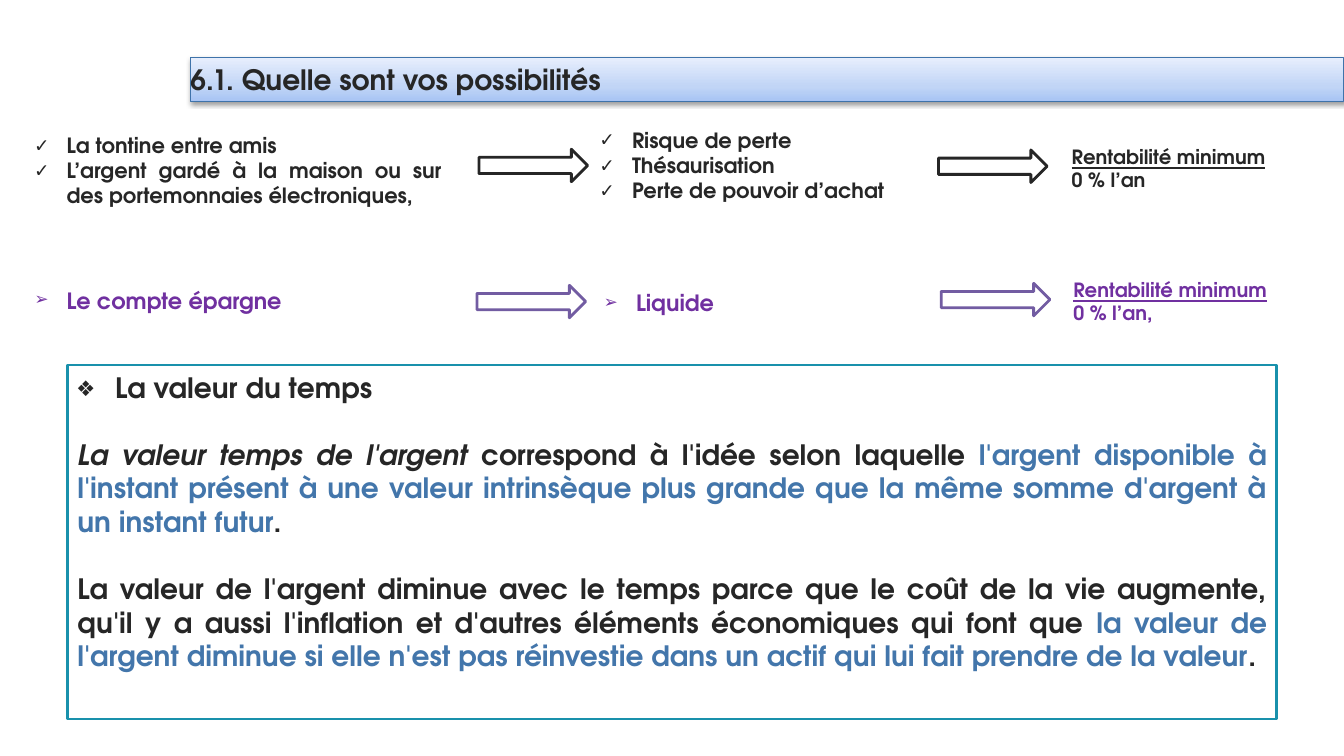
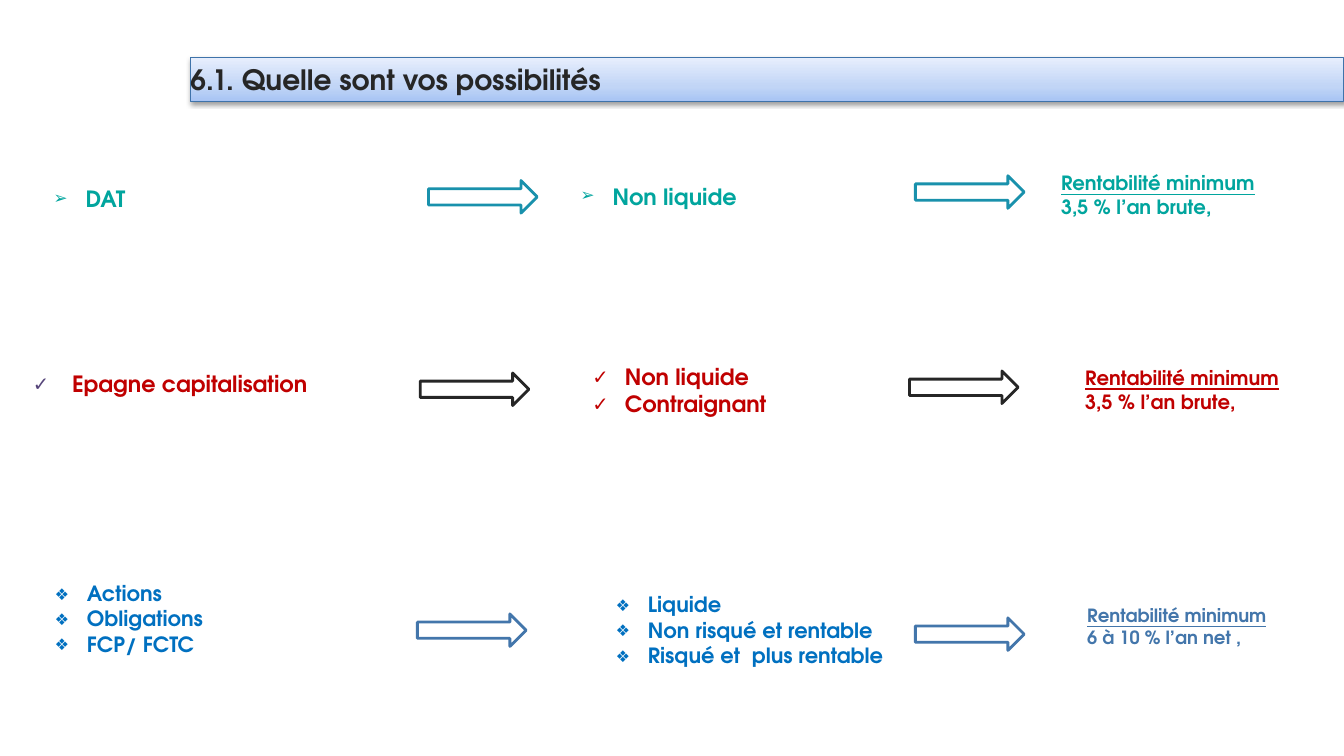
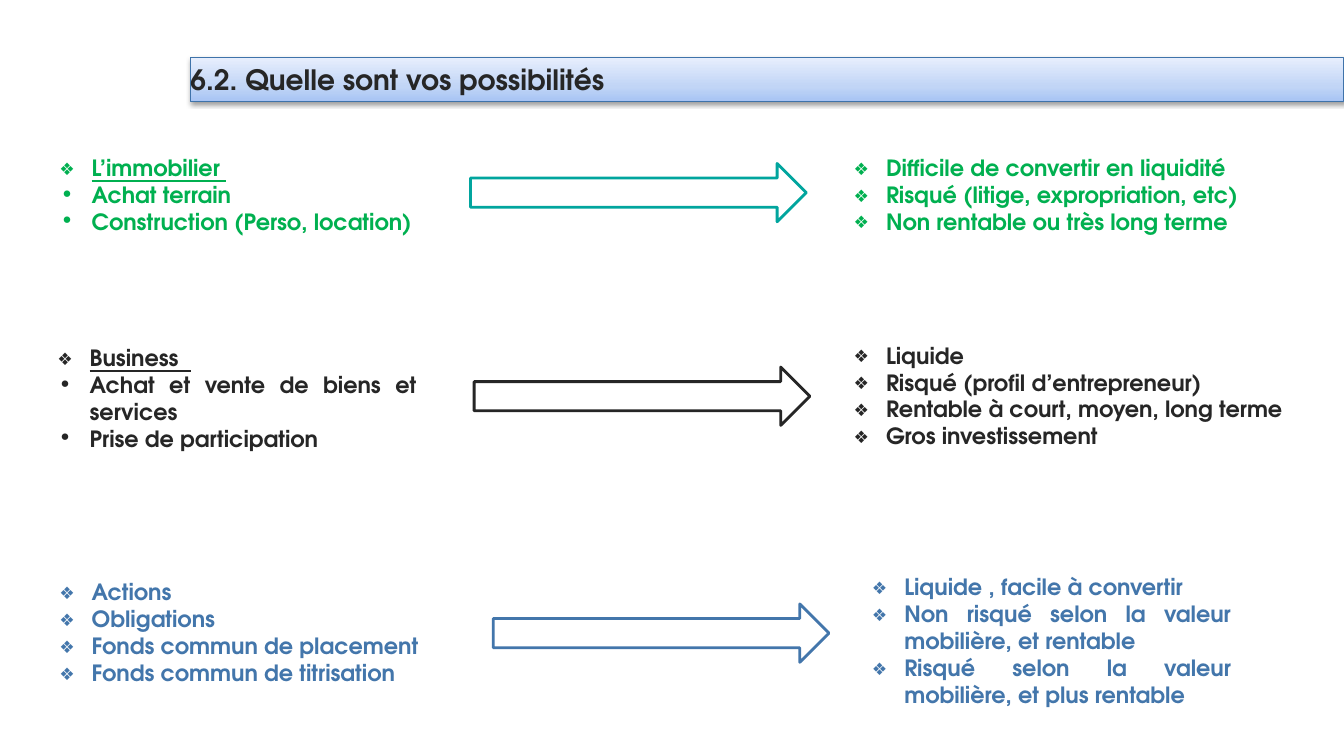
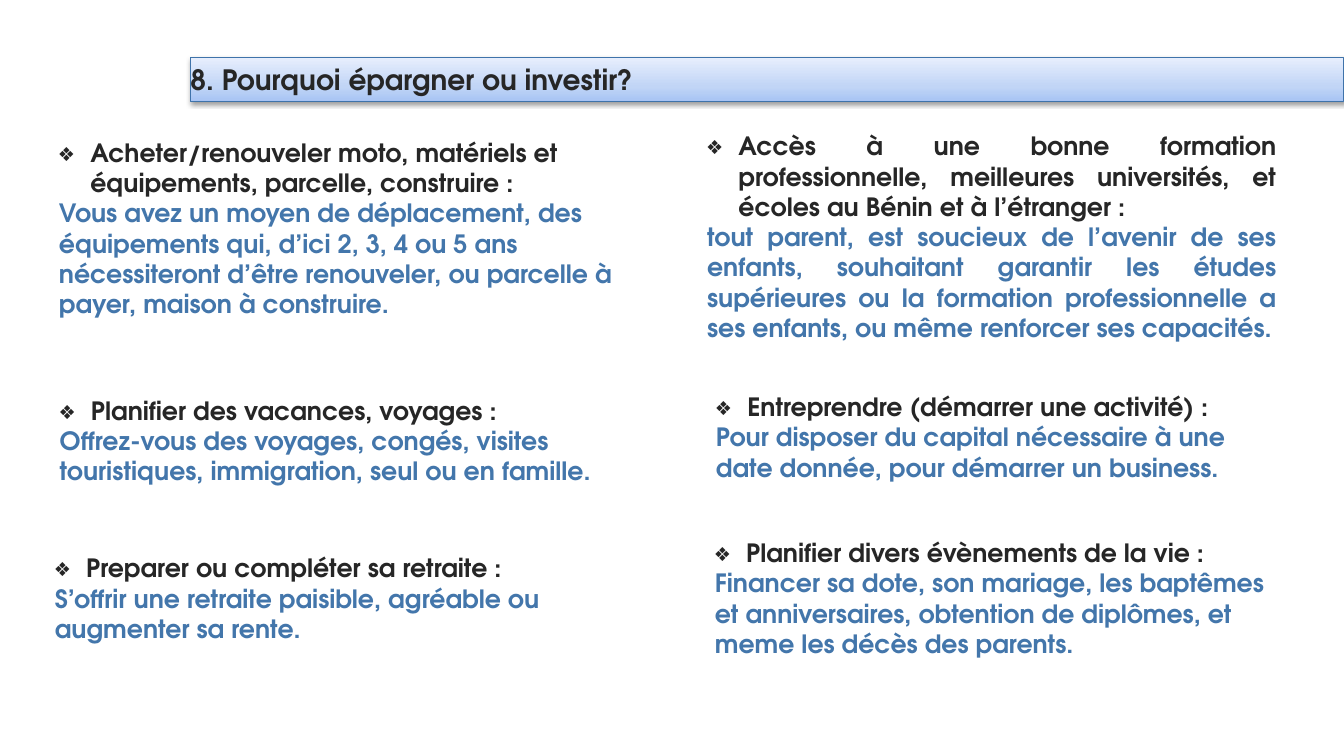
import copy
from dataclasses import dataclass

import pptx
import pptx.dml.color
import pptx.enum.shapes
import pptx.enum.text
import pptx.oxml
import pptx.oxml.ns
import pptx.util

Cm = pptx.util.Cm
Pt = pptx.util.Pt
SHAPE = pptx.enum.shapes.MSO_SHAPE
ANCHOR = pptx.enum.text.MSO_ANCHOR
ALIGN = pptx.enum.text.PP_ALIGN
qn = pptx.oxml.ns.qn

FONT = "TeX Gyre Adventor"
BULLET_FONT = "DejaVu Sans Mono"
COLORS = {
    "ink": "262626",
    "white": "FFFFFF",
    "blue": "4376AB",
    "bright_blue": "0070C0",
    "purple": "7030A0",
    "violet": "725CA2",
    "dark_violet": "56457A",
    "teal": "01A59E",
    "sea": "1991AC",
    "red": "C00000",
    "green": "00B050",
    "bar_line": "3F73AA",
    "bar_dark": "A6C3F4",
    "bar_mid": "C1D5F6",
    "bar_light": "E7EEFD",
    "shadow": "000000",
}
CHECK, ARROWHEAD, DIAMOND, DOT = "✓", "➢", "❖", "•"
INDENT = 0.79
SMALL_ARROW = (2.74, 0.82)
LARGE_ARROW = (8.46, 1.47)
RETURN_SIZE = (5.72, 1.07)


@dataclass
class Para:
    """A paragraph made of (text, color, style) runs; style holds letters of "iu"."""
    runs: list
    bullet: str = ""
    bullet_color: str = ""
    indent: float = INDENT
    align: ALIGN = ALIGN.JUSTIFY
    before: float = 0


def rgb(name):
    return pptx.dml.color.RGBColor.from_string(COLORS[name])


def lengths(*values):
    return [Cm(v) for v in values]


def set_bullet(p, char, color, indent):
    pPr = p._p.get_or_add_pPr()
    pPr.set("marL", str(Cm(indent)))
    pPr.set("indent", str(-Cm(indent)))
    if color:
        clr = pPr.makeelement(qn("a:buClr"), {})
        clr.append(clr.makeelement(qn("a:srgbClr"), {"val": COLORS[color]}))
        pPr.append(clr)
    pPr.append(pPr.makeelement(qn("a:buFont"), {"typeface": BULLET_FONT}))
    pPr.append(pPr.makeelement(qn("a:buChar"), {"char": char}))


def write(tf, paras, size, anchor=ANCHOR.TOP):
    tf.word_wrap = True
    tf.vertical_anchor = anchor
    for i, para in enumerate(paras):
        p = tf.paragraphs[0] if i == 0 else tf.add_paragraph()
        p.alignment = para.align
        if para.before:
            p.space_before = Pt(para.before)
        if para.bullet:
            set_bullet(p, para.bullet, para.bullet_color, para.indent)
        for text, color, style in para.runs:
            r = p.add_run()
            r.text = text
            r.font.name = FONT
            r.font.size = Pt(size)
            r.font.bold = True
            r.font.color.rgb = rgb(color)
            if "i" in style:
                r.font.italic = True
            if "u" in style:
                r.font.underline = True


def add_shape(s, kind, box, line=None, width=2):
    sp = s.shapes.add_shape(kind, *lengths(*box))
    sp.shadow.inherit = False
    sp.fill.solid()
    sp.fill.fore_color.rgb = rgb("white")
    if line:
        sp.line.color.rgb = rgb(line)
        sp.line.width = Pt(width)
    else:
        sp.line.fill.background()
    return sp


def add_arrow(s, x, y, color, size=SMALL_ARROW):
    add_shape(s, SHAPE.RIGHT_ARROW, (x, y, *size), color)


def add_title(s, text):
    """Full-bleed bar with a gradient and a soft shadow below it."""
    bar = add_shape(s, SHAPE.RECTANGLE, (4.8, 1.45, 29.07, 1.12), "bar_line", 0.75)
    bar.fill.gradient()
    bar.fill.gradient_angle = 90
    stop_list = next(bar._element.spPr.iter(qn("a:gsLst")))
    stop_list.insert(1, copy.deepcopy(stop_list[0]))
    stops = [(0, "bar_dark"), (0.35, "bar_mid"), (1, "bar_light")]
    for stop, (position, color) in zip(bar.fill.gradient_stops, stops):
        stop.position = position
        stop.color.rgb = rgb(color)
    bar._element.spPr.find(qn("a:effectLst")).append(pptx.oxml.parse_xml(
        f'<a:outerShdw {pptx.oxml.ns.nsdecls("a")} blurRad="{Pt(3.1)}" dist="{Pt(1.6)}" '
        f'dir="5400000" rotWithShape="0"><a:srgbClr val="{COLORS["shadow"]}">'
        '<a:alpha val="38000"/></a:srgbClr></a:outerShdw>'))
    tf = bar.text_frame
    tf.margin_left = tf.margin_right = tf.margin_top = tf.margin_bottom = 0
    write(tf, [Para([(text, "ink", "")], align=ALIGN.LEFT)], 20, ANCHOR.MIDDLE)


def add_list(s, box, bullet, items, color, size=16, **options):
    sp = add_shape(s, SHAPE.RECTANGLE, box)
    write(sp.text_frame, [Para([(t, color, "")], bullet, **options) for t in items], size)


def add_headed_list(s, box, head, items, color):
    """Underlined heading with a diamond, then dotted items."""
    sp = add_shape(s, SHAPE.RECTANGLE, box)
    paras = [Para([(head, color, "u")], DIAMOND)]
    write(sp.text_frame, paras + [Para([(t, color, "")], DOT) for t in items], 16)


def add_return(s, x, y, rate, color, text_size=14, size=RETURN_SIZE):
    sp = add_shape(s, SHAPE.RECTANGLE, (x, y, *size))
    write(sp.text_frame, [Para([("Rentabilité minimum", color, "u")]),
                          Para([(rate, color, "")])], text_size, ANCHOR.MIDDLE)


def add_goal(s, box, head, body, align=ALIGN.LEFT):
    sp = add_shape(s, SHAPE.ROUNDED_RECTANGLE, box)
    write(sp.text_frame, [Para([(head, "ink", "")], DIAMOND, align=align),
                          Para([(body, "blue", "")], align=align)], 18, ANCHOR.MIDDLE)


def new_slide(prs, title):
    s = prs.slides.add_slide(prs.slide_layouts[6])
    add_title(s, title)
    return s


def savings_slide(prs):
    s = new_slide(prs, "6.1. Quelle sont vos possibilités")
    add_list(s, (0.64, 3.21, 10.74, 2.1), CHECK,
             ["La tontine entre amis",
              "L’argent gardé à la maison ou sur des portemonnaies électroniques,"], "ink", 15)
    add_arrow(s, 12.07, 3.76, "ink")
    add_list(s, (14.89, 3.08, 8.81, 2.1), CHECK,
             ["Risque de perte", "Thésaurisation", "Perte de pouvoir d’achat"], "ink", 15)
    add_arrow(s, 23.65, 3.78, "ink")
    add_return(s, 26.76, 3.7, "0 % l’an", "ink")

    add_list(s, (0.64, 7.1, 7.37, 1), ARROWHEAD, ["Le compte épargne"], "purple")
    add_arrow(s, 12.02, 7.19, "violet")
    add_list(s, (14.99, 7.16, 7.37, 0.84), ARROWHEAD, ["Liquide"], "purple")
    add_arrow(s, 23.72, 7.14, "violet")
    add_return(s, 26.8, 7.06, "0 % l’an,", "purple")

    sp = add_shape(s, SHAPE.RECTANGLE, (1.7, 9.2, 30.48, 8.92), "sea")
    write(sp.text_frame, [
        Para([("La valeur du temps", "ink", "")], DIAMOND, indent=0.95),
        Para([("La valeur temps de l'argent ", "ink", "i"),
              ("correspond à l'idée selon laquelle ", "ink", ""),
              ("l'argent disponible à l'instant présent à une valeur intrinsèque plus grande "
               "que la même somme d'argent à un instant futur", "blue", ""),
              (".", "ink", "")], before=24),
        Para([("La valeur de l'argent diminue avec le temps parce que le coût de la vie "
               "augmente, qu'il y a aussi l'inflation et d'autres éléments économiques qui "
               "font que ", "ink", ""),
              ("la valeur de l'argent diminue si elle n'est pas réinvestie dans un actif qui "
               "lui fait prendre de la valeur", "blue", ""),
              (".", "ink", "")], before=24),
    ], 20)


def investments_slide(prs):
    s = new_slide(prs, "6.1. Quelle sont vos possibilités")
    add_list(s, (1.12, 4.55, 7.37, 0.91), ARROWHEAD, ["DAT"], "teal")
    add_arrow(s, 10.8, 4.55, "sea")
    add_list(s, (14.4, 4.48, 7.37, 0.82), ARROWHEAD, ["Non liquide"], "teal")
    add_arrow(s, 23.07, 4.43, "sea")
    add_return(s, 26.49, 4.37, "3,5 % l’an brute,", "teal")

    add_list(s, (0.61, 9.2, 8.61, 1), CHECK, ["Epagne capitalisation"], "red",
             bullet_color="dark_violet", indent=0.96)
    add_arrow(s, 10.59, 9.4, "ink")
    add_list(s, (14.71, 9.03, 8.23, 1.45), CHECK, ["Non liquide", "Contraignant"], "red")
    add_arrow(s, 22.92, 9.35, "ink")
    add_return(s, 27.1, 9.28, "3,5 % l’an brute,", "red")

    add_list(s, (1.15, 14.51, 7.19, 2.1), DIAMOND,
             ["Actions", "Obligations", "FCP/ FCTC"], "bright_blue", 15)
    add_arrow(s, 10.52, 15.47, "blue")
    add_list(s, (15.29, 14.79, 7.67, 2.06), DIAMOND,
             ["Liquide", "Non risqué et rentable", "Risqué et  plus rentable"],
             "bright_blue", 15)
    add_arrow(s, 23.07, 15.57, "blue")
    add_return(s, 27.15, 15.09, "6 à 10 % l’an net ,", "blue", 13, (6.3, 1.4))


def assets_slide(prs):
    s = new_slide(prs, "6.2. Quelle sont vos possibilités")
    add_headed_list(s, (1.27, 3.76, 9.53, 2.21), "L’immobilier ",
                    ["Achat terrain", "Construction (Perso, location)"], "green")
    add_arrow(s, 11.86, 4.12, "teal", LARGE_ARROW)
    add_list(s, (21.29, 3.76, 11.33, 2.21), DIAMOND,
             ["Difficile de convertir en liquidité", "Risqué (litige, expropriation, etc)",
              "Non rentable ou très long terme"], "green")

    add_headed_list(s, (1.22, 8.55, 9.53, 3), "Business  ",
                    ["Achat et vente de biens et services", "Prise de participation"], "ink")
    add_arrow(s, 11.95, 9.25, "ink", LARGE_ARROW)
    add_list(s, (21.29, 8.49, 11.71, 3), DIAMOND,
             ["Liquide", "Risqué (profil d’entrepreneur)",
              "Rentable à court, moyen, long terme", "Gros investissement"], "ink")

    add_list(s, (1.27, 14.45, 10.13, 3.02), DIAMOND,
             ["Actions", "Obligations", "Fonds commun de placement",
              "Fonds commun de titrisation"], "blue")
    add_arrow(s, 12.43, 15.22, "blue", LARGE_ARROW)
    add_list(s, (21.75, 14.33, 9.53, 3.68), DIAMOND,
             ["Liquide , facile à convertir",
              "Non risqué selon la valeur mobilière, et rentable",
              "Risqué selon la valeur mobilière, et plus rentable"], "blue")


def goals_slide(prs):
    s = new_slide(prs, "8. Pourquoi épargner ou investir?")
    add_goal(s, (17.3, 3.18, 15.39, 5.56),
             "Accès à une bonne formation professionnelle, meilleures universités, et écoles "
             "au Bénin et à l’étranger :",
             "tout parent, est soucieux de l’avenir de ses enfants, souhaitant garantir les "
             "études supérieures ou la formation professionnelle a ses enfants, ou même "
             "renforcer ses capacités.", ALIGN.JUSTIFY)
    add_goal(s, (1, 3.32, 16.51, 4.85),
             "Acheter/renouveler moto, matériels et équipements, parcelle, construire :",
             "Vous avez un moyen de déplacement, des équipements qui, d’ici 2, 3, 4 ou 5 ans "
             "nécessiteront d’être renouveler, ou parcelle à payer, maison à construire.")
    add_goal(s, (17.65, 9.52, 15.11, 2.97), "Entreprendre (démarrer une activité) :",
             "Pour disposer du capital nécessaire à une date donnée, pour démarrer un business.")
    add_goal(s, (1.11, 9.62, 15.11, 2.97), "Planifier des vacances, voyages :",
             "Offrez-vous des voyages, congés, visites touristiques, immigration, seul ou en "
             "famille.")
    add_goal(s, (1, 13.7, 15.11, 2.74), "Preparer ou compléter sa retraite :",
             "S’offrir une retraite paisible, agréable ou augmenter sa rente.")
    add_goal(s, (17.59, 13.26, 15.11, 3.61), "Planifier divers évènements de la vie :",
             "Financer sa dote, son mariage, les baptêmes et anniversaires, obtention de "
             "diplômes, et meme les décès des parents.")


def main():
    prs = pptx.Presentation()
    prs.slide_width, prs.slide_height = lengths(33.87, 19.05)
    savings_slide(prs)
    investments_slide(prs)
    assets_slide(prs)
    goals_slide(prs)
    prs.save("out.pptx")


if __name__ == "__main__":
    main()
